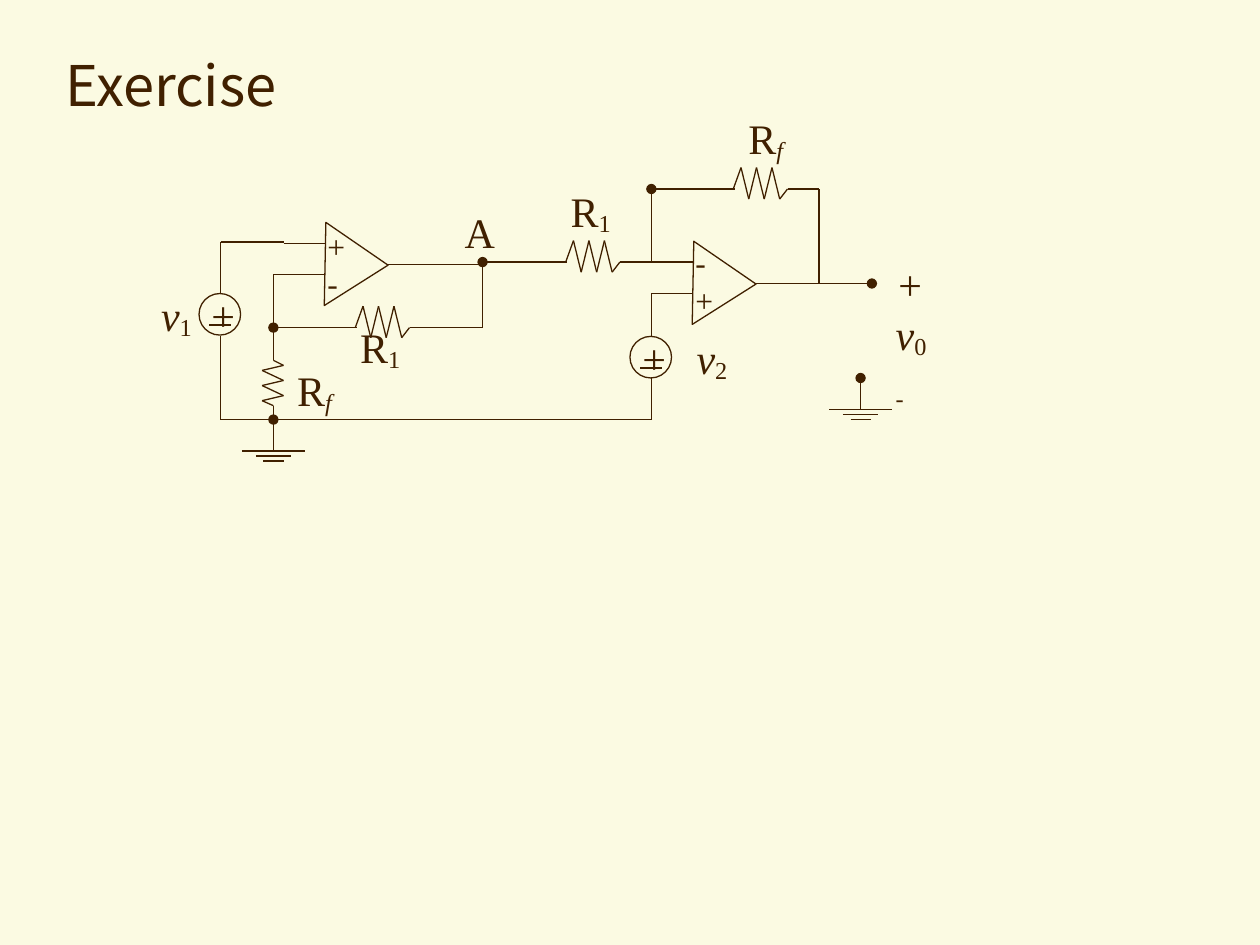
"""Build a slide with a two-stage op-amp circuit exercise."""
from pptx import Presentation
from pptx import util as u
from pptx.dml import color
from pptx.enum import shapes, text
from pptx.oxml import ns
from lxml import etree

THEME = {
    "ink": color.RGBColor.from_string("402000"),
    "back": color.RGBColor.from_string("FBFAE2"),
    "head": "Noto Sans CJK KR",
    "body": "Times New Roman",
    "title": 32,
    "label": 24,
    "sign": 18,
    "line": 0.75,
}
TITLE = ("Exercise", (0.42, 0.25, 9.17, 0.83))

WIRES = [
    (1.75, 1.92, 2.25, 1.92), (2.25, 1.93, 2.58, 1.93),
    (1.75, 1.92, 1.75, 2.33), (1.75, 2.67, 1.75, 3.33),
    (1.75, 3.33, 5.17, 3.33), (2.17, 2.77, 2.17, 2.18),
    (2.17, 2.18, 2.58, 2.18), (3.25, 2.6, 3.83, 2.6),
    (3.83, 2.1, 3.83, 2.6), (3.08, 2.1, 3.83, 2.1),
    (4.92, 2.08, 5.5, 2.08), (5.17, 2.08, 5.17, 1.5),
    (6.25, 1.5, 6.5, 1.5), (6.5, 1.5, 6.5, 2.25),
    (5.5, 2.33, 5.17, 2.33), (5.17, 2.33, 5.17, 2.67),
    (5.17, 3, 5.17, 3.33),
]
NODES = [
    (2.17, 2.6, 2.83, 2.6), (2.17, 3.33, 2.17, 3.58),
    (3.83, 2.08, 4.5, 2.08), (5.17, 1.5, 5.83, 1.5),
    (6.92, 2.25, 6, 2.25), (6.83, 3, 6.83, 3.25),
]
COILS = [(2.82, 2.6), (4.49, 2.08), (5.82, 1.5)]
UPRIGHT = (2.17, [
    (0, 2.71), (0, 2.86), (0.08, 2.9), (-0.09, 2.94), (0.08, 3.02),
    (-0.09, 3.06), (0.08, 3.14), (-0.09, 3.18), (0, 3.22), (0, 3.37),
])
GROUNDS = [(2.17, 3.58), (6.83, 3.25)]
AMPS = [(2.5, 1.85), (5.42, 2)]
SOURCES = [(1.58, 2.33), (5, 2.67)]

RF = [[("R", ""), ("f", "is")]]
R1 = [[("R", ""), ("1", "s")]]
PLUS, MINUS = [("+", "")], [("-", "")]
SIGNS = [
    ([PLUS, MINUS], (2.5, 1.75, 0.25, 0.7)),
    ([MINUS, PLUS], (5.42, 1.88, 0.33, 0.7)),
]
LABELS = [
    (RF, (2.26, 2.84, 0.52, 0.51)),
    (R1, (2.76, 2.5, 0.52, 0.51)),
    (R1, (4.43, 1.42, 0.52, 0.51)),
    (RF, (5.84, 0.84, 0.52, 0.51)),
    ([[("A", "")]], (3.59, 1.59, 0.44, 0.5)),
    ([[("v", "i"), ("1", "s")]], (1.18, 2.25, 0.48, 0.51)),
    ([[("v", "i"), ("2", "s")]], (5.43, 2.59, 0.48, 0.51)),
    ([[("+", "i")], [("v", "i"), ("0", "s")], [("-", "s")]],
     (7.01, 2, 0.48, 1.33)),
]


def apply(item, vals):
    """Set each named attribute on the item."""
    for name, val in vals.items():
        setattr(item, name, val)


def ink(shape):
    """Give a shape the circuit outline."""
    shape.line.color.rgb = THEME["ink"]
    shape.line.width = u.Pt(THEME["line"])


def wire(home, ends, dot=False):
    """Draw a line, with a round node at its start if asked."""
    part = home.add_connector(
        shapes.MSO_CONNECTOR.STRAIGHT, *map(u.Inches, ends))
    ink(part)
    if dot:
        tip = etree.SubElement(part.line._get_or_add_ln(), ns.qn("a:headEnd"))
        tip.set("type", "oval")
    etree.SubElement(part._element.spPr, ns.qn("a:effectLst"))


def chain(home, points):
    """Join points by lines in one group."""
    group = home.add_group_shape().shapes
    for start, end in zip(points, points[1:]):
        wire(group, start + end)


def coil(home, x, y):
    """Draw a level resistor from its left end."""
    step = 0.43 / 7
    rise = [0, -0.17, 0.08, -0.17, 0.08, -0.17, 0.08, 0]
    chain(home, [(x + i * step, y + d) for i, d in enumerate(rise)])


def ground(home, x, y):
    """Draw three shrinking bars."""
    group = home.add_group_shape().shapes
    for i, half in enumerate((0.25, 0.14, 0.08)):
        level = y + i * 0.04
        wire(group, (x - half, level, x + half, level))


def solid(home, kind, box, turn=0):
    """Draw an unfilled preset shape."""
    part = home.add_shape(kind, *map(u.Inches, box))
    part.fill.background()
    part.shadow.inherit = False
    part.rotation = turn
    ink(part)


def write(home, lines, box, size, face=THEME["body"], **frame):
    """Write lines of runs flagged i for italic and s for subscript."""
    body = home.add_textbox(*map(u.Inches, box)).text_frame
    apply(body, {"word_wrap": True, **frame})
    for i, line in enumerate(lines):
        para = body.add_paragraph() if i else body.paragraphs[0]
        for word, flags in line:
            run = para.add_run()
            run.text = word
            apply(run.font, {"name": face, "size": u.Pt(size),
                             "italic": "i" in flags})
            run.font.color.rgb = THEME["ink"]
            if "s" in flags:
                run._r.get_or_add_rPr().set("baseline", "-12000")


def main():
    """Build and save the slide."""
    deck = Presentation()
    apply(deck, {"slide_width": u.Inches(10), "slide_height": u.Inches(7.5)})
    slide = deck.slides.add_slide(deck.slide_layouts[6])
    slide.background.fill.solid()
    slide.background.fill.fore_color.rgb = THEME["back"]
    home = slide.shapes
    name, box = TITLE
    write(home, [[(name, "")]], box, THEME["title"], THEME["head"],
          vertical_anchor=text.MSO_ANCHOR.MIDDLE)
    for ends in WIRES:
        wire(home, ends)
    for ends in NODES:
        wire(home, ends, True)
    for spot in COILS:
        coil(home, *spot)
    mid, bends = UPRIGHT
    chain(home, [(mid + d, y) for d, y in bends])
    for spot in GROUNDS:
        ground(home, *spot)
    for x, y in AMPS:
        solid(home, shapes.MSO_SHAPE.ISOSCELES_TRIANGLE,
              (x, y, 0.66, 0.5), 91.1)
    grow = {"auto_size": text.MSO_AUTO_SIZE.SHAPE_TO_FIT_TEXT}
    for x, y in SOURCES:
        write(home, [PLUS], (x, y - 0.08, 0.33, 0.5), THEME["label"], **grow)
        wire(home, (x + 0.08, y + 0.25, x + 0.25, y + 0.25))
        solid(home, shapes.MSO_SHAPE.OVAL, (x, y, 0.33, 0.33))
    for lines, box in SIGNS:
        write(home, lines, box, THEME["sign"], **grow)
    for lines, box in LABELS:
        write(home, lines, box, THEME["label"], **grow)
    deck.save("out.pptx")


if __name__ == "__main__":
    main()
